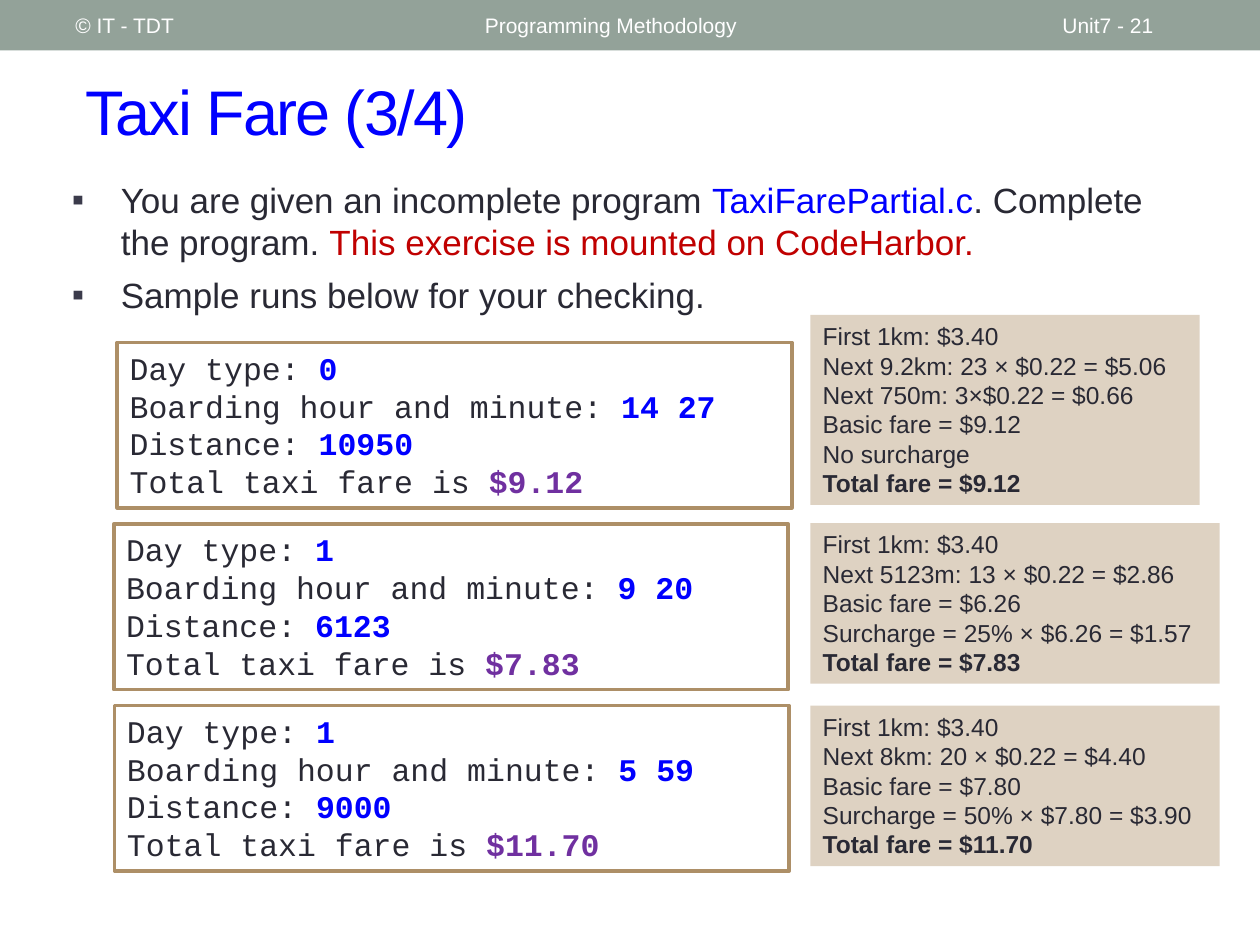
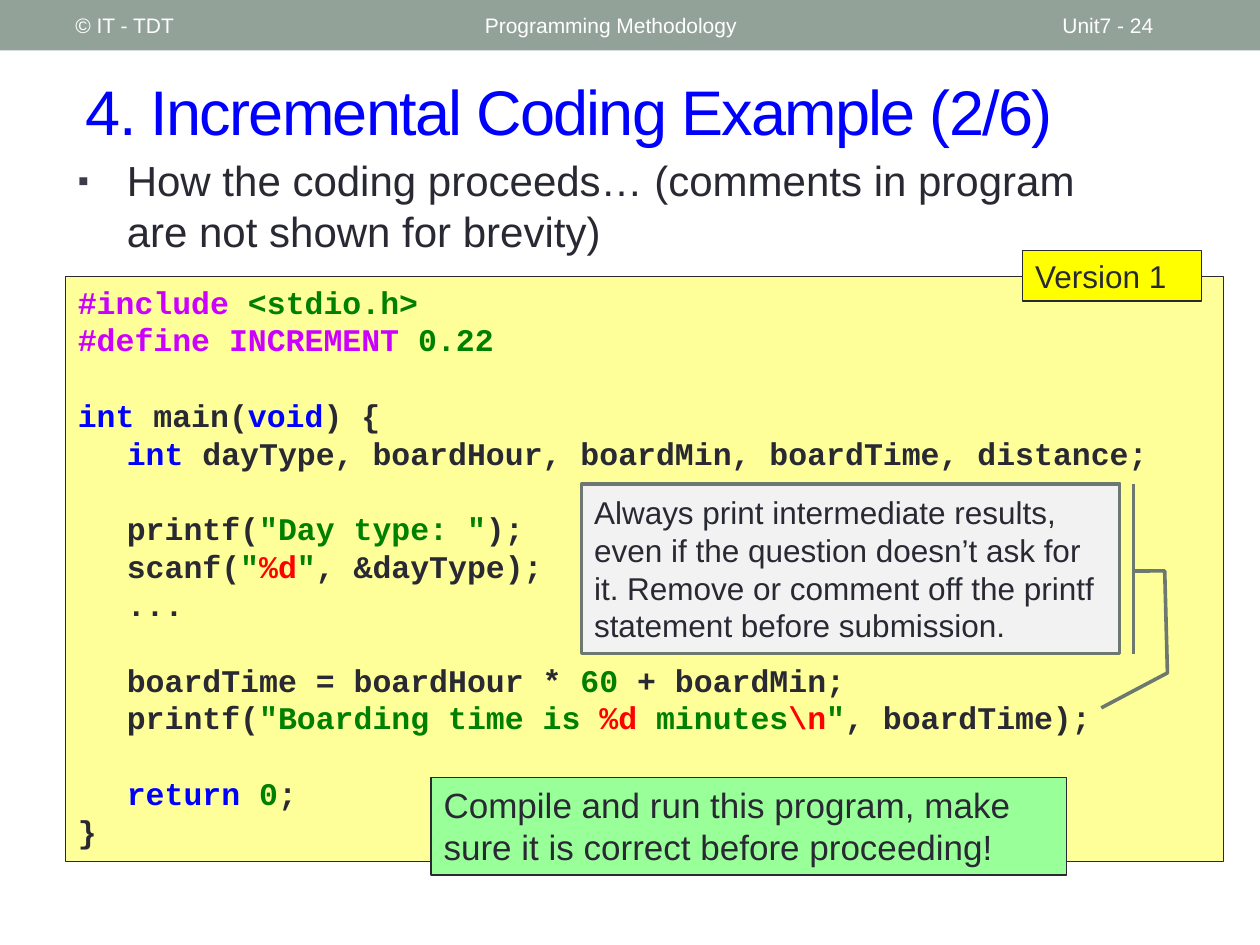
import pptx
import pptx.util
import pptx.dml.color
import pptx.enum.shapes
import pptx.enum.text
from lxml import etree

Pt = pptx.util.Pt
RGB = pptx.dml.color.RGBColor
SHAPE = pptx.enum.shapes.MSO_SHAPE
ANCHOR = pptx.enum.text.MSO_ANCHOR

# Colours and fonts
INK = RGB(0x29, 0x29, 0x34)
WHITE = RGB(0xFF, 0xFF, 0xFF)
BLUE = RGB(0x00, 0x00, 0xFF)
PURPLE = RGB(0x70, 0x30, 0xA0)
DARK_RED = RGB(0xC0, 0x00, 0x00)
MAGENTA = RGB(0xCC, 0x00, 0xFF)
GREEN = RGB(0x00, 0x80, 0x00)
RED = RGB(0xFF, 0x00, 0x00)
SAGE = RGB(0x93, 0xA2, 0x99)
SAND = RGB(0xDE, 0xD2, 0xC2)
BROWN = RGB(0xAD, 0x8F, 0x67)
PALE_YELLOW = RGB(0xFF, 0xFF, 0x99)
YELLOW = RGB(0xFF, 0xFF, 0x00)
PALE_GREY = RGB(0xF2, 0xF2, 0xF2)
SLATE = RGB(0x6D, 0x78, 0x71)
LIGHT_GREEN = RGB(0x99, 0xFF, 0x99)
BULLET_COLOUR = "3B3B4B"
SANS, MONO = "Arial", "Courier New"

# Content: a line is a list of (text, colour) or (text, colour, bold) runs
HEADER = [("Programming Methodology", 270, 324), ("Unit7 - {}", 600, 84),
          ("© IT - TDT", 36, 228)]

TASKS = [
    [("You are given an incomplete program ", INK), ("TaxiFarePartial.c", BLUE),
     (". Complete the program. ", INK),
     ("This exercise is mounted on CodeHarbor.", DARK_RED)],
    [("Sample runs below for your checking.", INK)],
]

# Each sample: run box left, input values, total, working box (top, width), working
SAMPLES = [
    (67, ("0", "14 27", "10950"), "$9.12", (180, 222.5),
     ["First 1km: $3.40", "Next 9.2km: 23 × $0.22 = $5.06",
      "Next 750m: 3×$0.22 = $0.66", "Basic fare = $9.12", "No surcharge"]),
    (65, ("1", "9 20", "6123"), "$7.83", (299, 234),
     ["First 1km: $3.40", "Next 5123m: 13 × $0.22 = $2.86",
      "Basic fare = $6.26", "Surcharge = 25% × $6.26 = $1.57"]),
    (65.5, ("1", "5 59", "9000"), "$11.70", (403.2, 234),
     ["First 1km: $3.40", "Next 8km: 20 × $0.22 = $4.40",
      "Basic fare = $7.80", "Surcharge = 50% × $7.80 = $3.90"]),
]
PROMPTS = ["Day type: ", "Boarding hour and minute: ", "Distance: "]

PROCEEDS = [[("How the coding proceeds… (comments in program are not shown "
              "for brevity)", INK)]]
CODE = [
    [("#include ", MAGENTA), ("<stdio.h>", GREEN)],
    [("#define INCREMENT ", MAGENTA), ("0.22", GREEN)],
    [],
    [("int", BLUE), (" main(", INK), ("void", BLUE), (") {", INK)],
    [("\t", INK), ("int", BLUE),
     (" dayType, boardHour, boardMin, boardTime, distance;", INK)],
    [],
    [("\tprintf(", INK), ('"Day type: "', GREEN), (");", INK)],
    [("\tscanf(", INK), ('"', GREEN), ("%d", RED), ('"', GREEN),
     (", &dayType);", INK)],
    [("\t...", INK)],
    [],
    [("\tboardTime = boardHour * ", INK), ("60", GREEN), (" + boardMin;", INK)],
    [("\tprintf(", INK), ('"Boarding time is ', GREEN), ("%d", RED),
     (" minutes", GREEN), ("\\n", RED), ('"', GREEN), (", boardTime);", INK)],
    [],
    [("\t", INK), ("return ", BLUE), ("0", GREEN), (";", INK)],
    [("}", INK)],
]
CODE_TABS = [28, 54, 82]
ADVICE = ("Always print intermediate results, even if the question doesn’t ask "
          "for it. Remove or comment off the printf statement before submission.")
ADVICE_LEADER = [0.514, 1.026, 0.513, 1.084, 1.114, 1.089, 1.32, 0.966]
REMINDER = ("Compile and run this program, make sure it is correct "
            "before proceeding!")


def add_xml(parent, tag, **attrs):
    ns = pptx.oxml.ns.qn("a:" + tag)
    return etree.SubElement(parent, ns, attrs)


def write(sp, lines, size, font=SANS, bold=False, anchor=ANCHOR.TOP):
    """Fill a shape with lines of coloured runs; return its paragraphs."""
    tf = sp.text_frame
    tf.word_wrap = True
    tf.vertical_anchor = anchor
    for i, line in enumerate(lines):
        p = tf.paragraphs[0] if i == 0 else tf.add_paragraph()
        p.alignment = pptx.enum.text.PP_ALIGN.LEFT
        p.line_spacing = Pt(1.2 * size)
        for text, colour, *strong in line:
            r = p.add_run()
            r.text = text
            r.font.name, r.font.size = font, Pt(size)
            r.font.bold = strong[0] if strong else bold
            r.font.color.rgb = colour
        if not line:
            add_xml(p._p, "endParaRPr", sz=str(size * 100))
    return tf.paragraphs


def add_text(s, box, lines, size, **style):
    sp = s.shapes.add_textbox(*map(Pt, box))
    return write(sp, lines, size, **style)


def add_box(s, box, fill, line=None, width=0.75, kind=SHAPE.RECTANGLE):
    sp = s.shapes.add_shape(kind, *map(Pt, box))
    sp.shadow.inherit = False
    sp.fill.solid()
    sp.fill.fore_color.rgb = fill
    if line is None:
        sp.line.fill.background()
    else:
        sp.line.color.rgb = line
        sp.line.width = Pt(width)
    return sp


def add_bullets(s, box, lines, size, gap=0, scale=100):
    for i, p in enumerate(add_text(s, box, lines, size)):
        if i:
            p.space_before = Pt(gap)
        pPr = p._p.get_or_add_pPr()
        pPr.set("marL", str(Pt(28)))
        pPr.set("indent", str(-Pt(28)))
        add_xml(add_xml(pPr, "buClr"), "srgbClr", val=BULLET_COLOUR)
        add_xml(pPr, "buSzPct", val=str(scale * 1000))
        add_xml(pPr, "buFont", typeface=SANS)
        add_xml(pPr, "buChar", char="▪")


def add_slide(prs, title, number):
    """Blank slide with the shared band, header texts and title."""
    s = prs.slides.add_slide(prs.slide_layouts[6])
    add_box(s, (0, 0, 720, 28.8), SAGE)
    for text, left, width in HEADER:
        add_text(s, (left, 1.5, width, 26), [[(text.format(number), WHITE)]], 12,
                 anchor=ANCHOR.MIDDLE)
    heading = add_text(s, (42, 36, 661, 54), [[(title, BLUE)]], 36,
                       anchor=ANCHOR.MIDDLE)
    heading[0].line_spacing = None
    heading[0].runs[0].font._element.set("spc", "-100")
    return s


def taxi_fare(prs):
    s = add_slide(prs, "Taxi Fare (3/4)", 21)
    add_bullets(s, (34, 98.6, 648, 98), TASKS, 20, gap=6)
    for i, (left, inputs, fare, (top, width), working) in enumerate(SAMPLES):
        # Sample run
        run_lines = [[(prompt, INK), (value, BLUE, True)]
                     for prompt, value in zip(PROMPTS, inputs)]
        run_lines.append([("Total taxi fare is ", INK), (fare, PURPLE, True)])
        sp = add_box(s, (left, 195.8 + 103.7 * i, 385.5, 94.5), WHITE, BROWN, 2.08)
        write(sp, run_lines, 18, font=MONO)
        # Working beside it
        steps = [[(step, INK)] for step in working]
        steps.append([("Total fare = " + fare, INK, True)])
        sp = add_box(s, (463, top, width, 7.7 + 16.8 * len(steps)), SAND)
        write(sp, steps, 14)


def incremental_coding(prs):
    s = add_slide(prs, "4. Incremental Coding Example (2/6)", 24)
    add_bullets(s, (37.4, 85, 623, 73), PROCEEDS, 24, scale=75)

    # Program listing with its version tag
    sp = add_box(s, (37.4, 157.9, 661.7, 334.4), PALE_YELLOW, INK)
    for p in write(sp, CODE, 18, font=MONO, bold=True):
        tabs = add_xml(p._p.get_or_add_pPr(), "tabLst")
        for pos in CODE_TABS:
            add_xml(tabs, "tab", pos=str(Pt(pos)), algn="l")
    sp = add_box(s, (584.4, 143.1, 102.3, 29), YELLOW, INK)
    write(sp, [[("Version 1", INK)]], 18)

    # Advice callout
    sp = add_box(s, (332.4, 276.5, 307.4, 97), PALE_GREY, SLATE, 2.08,
                 SHAPE.LINE_CALLOUT_3_BORDER_AND_ACCENT_BAR)
    for i, value in enumerate(ADVICE_LEADER):
        sp.adjustments[i] = value
    write(sp, [[(ADVICE, INK)]], 18, anchor=ANCHOR.MIDDLE)

    # Reminder
    sp = add_box(s, (246.4, 444.2, 363, 55.8), LIGHT_GREEN, INK)
    write(sp, [[(REMINDER, INK)]], 20)


def main():
    prs = pptx.Presentation()
    prs.slide_width, prs.slide_height = Pt(720), Pt(540)
    taxi_fare(prs)
    incremental_coding(prs)
    prs.save("out.pptx")


if __name__ == "__main__":
    main()
